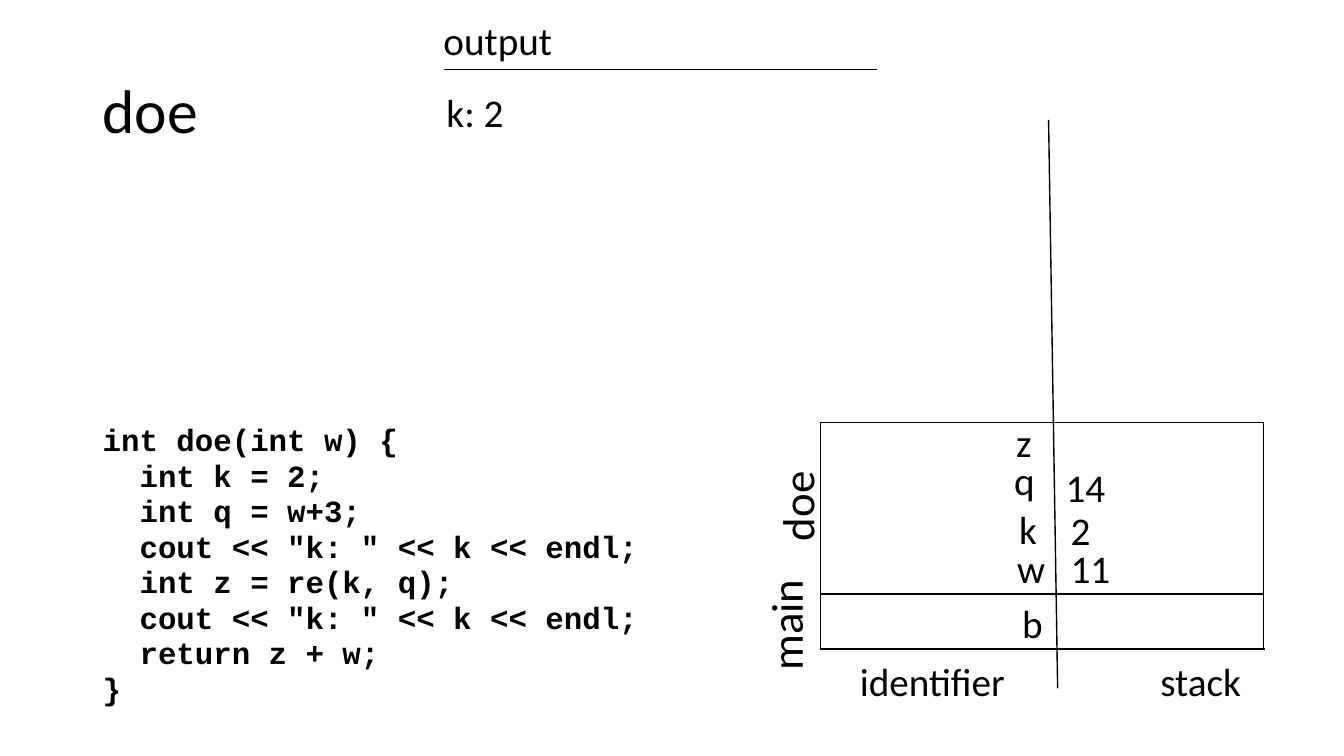
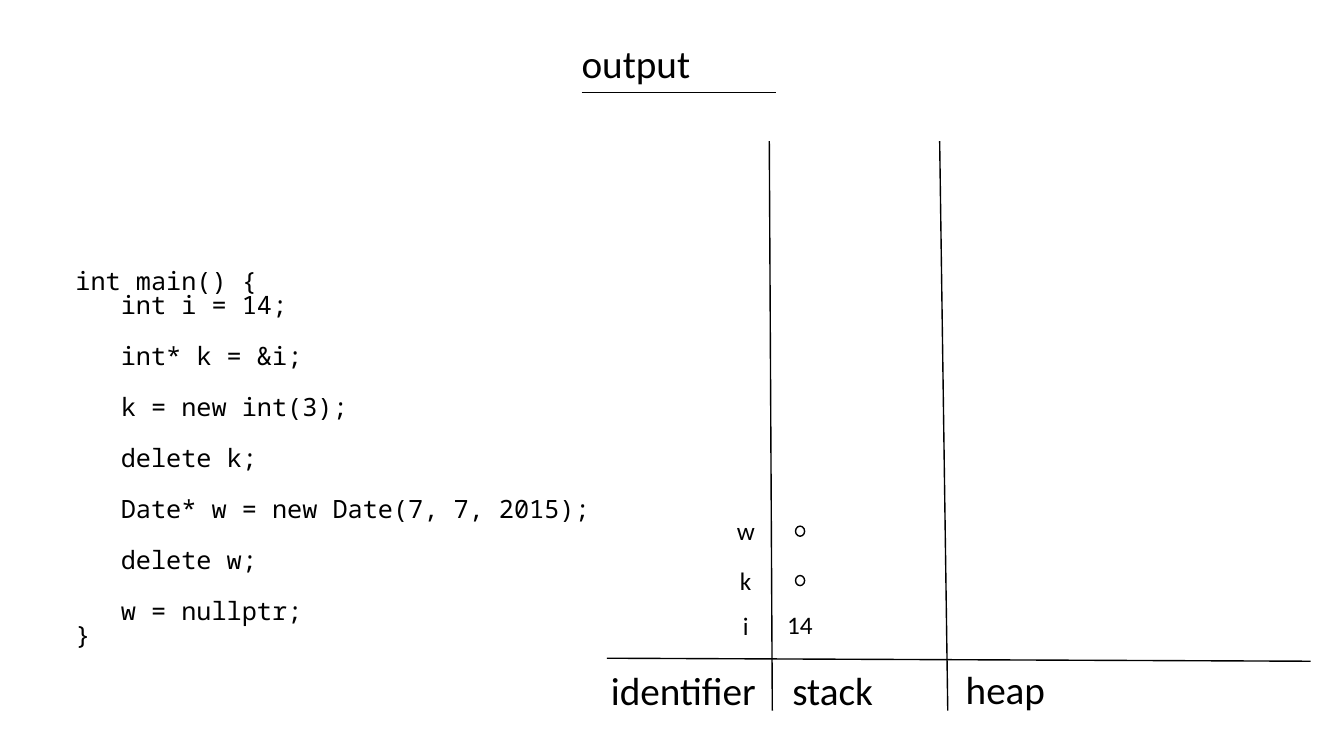
from lxml.etree import SubElement
from pptx import Presentation
from pptx.dml.color import RGBColor
from pptx.enum.shapes import MSO_CONNECTOR, MSO_SHAPE
from pptx.enum.text import MSO_ANCHOR, MSO_AUTO_SIZE
from pptx.oxml.ns import qn
from pptx.util import Inches, Pt

DOE_CODE = """int doe(int w) {
  int k = 2;
  int q = w+3;
  cout << "k: " << k << endl;
  int z = re(k, q);
  cout << "k: " << k << endl;
  return z + w;
}"""

MAIN_CODE = """int main() {
   int i = 14;

   int* k = &i;

   k = new int(3);

   delete k;

   Date* w = new Date(7, 7, 2015);

   delete w;

   w = nullptr;
}"""


def color(hex_value):
    return RGBColor.from_string(hex_value)


class MemoryDeck:
    """Slides that trace code next to its output, stack and heap."""

    INK = "000000"
    PAPER = "FFFFFF"
    FONT = "Calibri"
    LINE_WIDTH = Pt(1)
    LABEL, FRAME_LABEL, TITLE = 28, 32, 44

    def __init__(self):
        self.prs = Presentation()
        self.prs.slide_width = Inches(13.33)
        self.prs.slide_height = Inches(7.5)
        self.slide = None

    def new_slide(self):
        self.slide = self.prs.slides.add_slide(self.prs.slide_layouts[6])

    def text_box(self, left, top, width, height):
        return self.slide.shapes.add_textbox(
            Inches(left), Inches(top), Inches(width), Inches(height))

    def style(self, paragraph, size, font=FONT, bold=False):
        for run in paragraph.runs:
            run.font.name = font
            run.font.size = Pt(size)
            run.font.bold = bold
            run.font.color.rgb = color(self.INK)

    def title(self, text):
        frame = self.text_box(0.92, 0.4, 11.5, 1.45).text_frame
        frame.word_wrap = True
        frame.vertical_anchor = MSO_ANCHOR.MIDDLE
        frame.text = text
        frame.paragraphs[0].line_spacing = 0.9
        self.style(frame.paragraphs[0], self.TITLE)

    def label(self, text, left, top, width, size=LABEL, rotation=0):
        """One line of text in a box as high as its line and margins."""
        box = self.text_box(left, top, width, size * 1.22 / 72 + 0.1)
        box.rotation = rotation
        frame = box.text_frame
        frame.word_wrap = False
        frame.auto_size = MSO_AUTO_SIZE.SHAPE_TO_FIT_TEXT
        frame.text = text
        self.style(frame.paragraphs[0], size)

    def labels(self, entries, size=LABEL):
        for entry in entries:
            self.label(*entry, size=size)

    def code(self, source, left, top, width, height, size, font, spacing,
             gap=0, bold=False):
        """Code by line; an empty source line becomes a gap in points."""
        frame = self.text_box(left, top, width, height).text_frame
        frame.word_wrap = True
        paragraph, space = frame.paragraphs[0], 0
        for line in source.split("\n"):
            if not line:
                space = gap
                continue
            if paragraph.runs:
                paragraph = frame.add_paragraph()
            paragraph.text = line
            paragraph.line_spacing = spacing
            paragraph.space_before = Pt(space)
            self.style(paragraph, size, font, bold)
            space = 0

    def line(self, x1, y1, x2, y2):
        rule = self.slide.shapes.add_connector(
            MSO_CONNECTOR.STRAIGHT,
            Inches(x1), Inches(y1), Inches(x2), Inches(y2))
        rule.line.color.rgb = color(self.INK)
        rule.line.width = self.LINE_WIDTH
        SubElement(rule._element.spPr, qn("a:effectLst"))

    def outline(self, kind, left, top, width, height, fill=None):
        shape = self.slide.shapes.add_shape(
            kind, Inches(left), Inches(top), Inches(width), Inches(height))
        shape.shadow.inherit = False
        if fill:
            shape.fill.solid()
            shape.fill.fore_color.rgb = color(fill)
        else:
            shape.fill.background()
        shape.line.color.rgb = color(self.INK)
        shape.line.width = self.LINE_WIDTH

    def stack_frame(self, top, height):
        self.outline(MSO_SHAPE.RECTANGLE, 8.14, top, 4.39, height)

    def pointer(self, top):
        self.outline(MSO_SHAPE.OVAL, 7.89, top, 0.09, 0.1, self.PAPER)

    def output_header(self, left, rule_y, rule_width):
        self.label("output", left, rule_y - 0.58, 1.29)
        self.line(left + 0.1, rule_y, left + 0.1 + rule_width, rule_y)

    def column_names(self, top, identifier_left, stack_left):
        self.label("identifier", identifier_left, top, 1.66)
        self.label("stack", stack_left, top, 1.01)


def build_doe_slide(deck):
    deck.new_slide()
    deck.title("doe")
    deck.code(DOE_CODE, 0.92, 4.15, 5.61, 2.75, 22, "Courier New", 0.96,
              bold=True)
    deck.output_header(4.3, 0.69, 4.3)
    deck.label("k: 2", 4.33, 0.83, 0.78)

    deck.column_names(6.47, 8.43, 11.41)
    deck.line(8.25, 6.44, 12.55, 6.44)
    deck.line(10.49, 6.83, 10.4, 1.19)
    deck.stack_frame(4.19, 1.7)
    deck.stack_frame(5.9, 0.54)
    deck.label("main", 7.22, 5.86, 1.14, deck.FRAME_LABEL, 270)
    deck.label("doe", 7.41, 4.65, 0.99, deck.FRAME_LABEL, 270)

    identifiers = [("z", 9.98, 4.1, 0.36), ("q", 9.96, 4.48, 0.41),
                   ("k", 10.01, 4.96, 0.38), ("w", 9.99, 5.35, 0.48),
                   ("b", 10.04, 5.9, 0.41)]
    values = [("14", 10.47, 4.55, 0.6), ("2", 10.52, 4.97, 0.4),
              ("11", 10.52, 5.35, 0.6)]
    deck.labels(identifiers + values)


def build_main_slide(deck):
    deck.new_slide()
    deck.code(MAIN_CODE, 0.65, 2.64, 5.31, 4.76, 18, "Noto Sans Mono", 0.79,
              gap=19.4)
    deck.output_header(5.67, 0.92, 1.93)

    deck.column_names(6.56, 5.96, 7.76)
    deck.label("heap", 9.48, 6.55, 1)
    deck.line(6.02, 6.53, 13, 6.56)
    deck.line(7.66, 7.05, 7.63, 1.4)
    deck.line(9.4, 7.05, 9.32, 1.4)

    deck.labels([("w", 7.21, 5.06, 0.38), ("k", 7.24, 5.56, 0.32),
                 ("i", 7.27, 6.01, 0.26), ("14", 7.71, 6, 0.46)], size=18)
    for top in (5.22, 5.71):
        deck.pointer(top)


def main():
    deck = MemoryDeck()
    build_doe_slide(deck)
    build_main_slide(deck)
    deck.prs.save("out.pptx")


if __name__ == "__main__":
    main()
